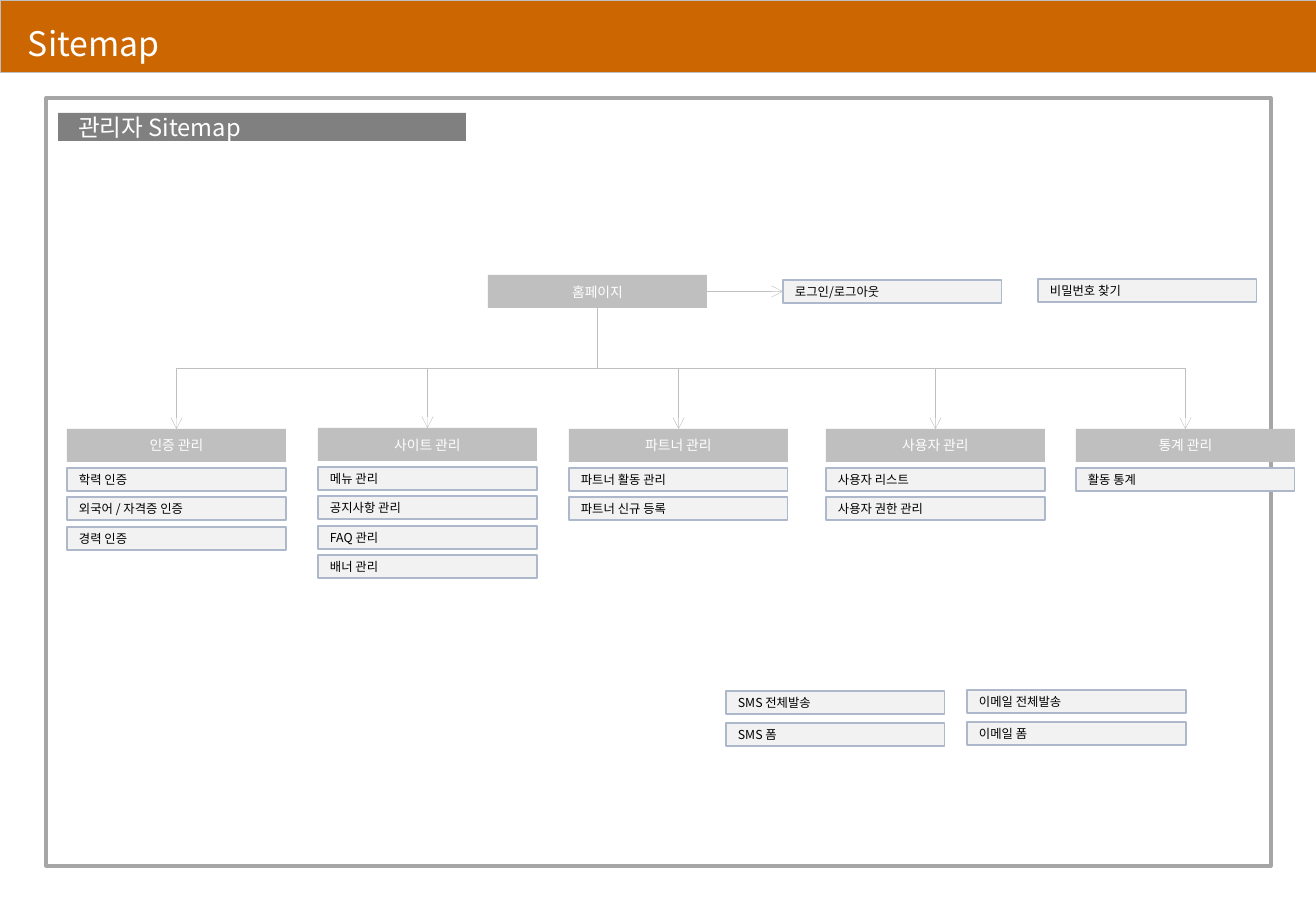
from dataclasses import dataclass

import pptx
import pptx.dml.color
import pptx.enum.shapes
import pptx.enum.text
import pptx.oxml
import pptx.oxml.ns
import pptx.shapes.autoshape
import pptx.shapes.connector
import pptx.slide
import pptx.util

EMU_PER_PX = 7526
ITEM_OFFSET = 39
ITEM_STEP = 29.5


@dataclass(frozen=True)
class Theme:
    font: str = "Noto Sans CJK KR"
    banner: str = "CC6600"
    section: str = "808080"
    frame: str = "A6A6A6"
    head: str = "BFBFBF"
    item: str = "F2F2F2"
    item_line: str = "ADB9CA"
    light: str = "FFFFFF"
    dark: str = "000000"
    title_size: float = 20
    section_size: float = 14
    head_size: float = 8.2
    item_size: float = 7.3
    hairline: float = 0.25
    item_border: float = 0.75
    frame_border: float = 2


@dataclass(frozen=True)
class Box:
    left: int
    top: int
    width: int
    height: int


@dataclass(frozen=True)
class Menu:
    left: int
    top: int
    name: str
    pages: tuple[str, ...]


@dataclass(frozen=True)
class Page:
    left: int
    top: int
    name: str


THEME = Theme()

MENUS = (
    Menu(67, 429, "인증 관리", ("학력 인증", "외국어 / 자격증 인증", "경력 인증")),
    Menu(318, 428, "사이트 관리", ("메뉴 관리", "공지사항 관리", "FAQ 관리", "배너 관리")),
    Menu(569, 429, "파트너 관리", ("파트너 활동 관리", "파트너 신규 등록")),
    Menu(826, 429, "사용자 관리", ("사용자 리스트", "사용자 권한 관리")),
    Menu(1076, 429, "통계 관리", ("활동 통계",)),
)

LOGIN = Page(783, 280, "로그인/로그아웃")

LOOSE_PAGES = (
    Page(1038, 279, "비밀번호 찾기"),
    Page(967, 690, "이메일 전체발송"),
    Page(967, 722, "이메일 폼"),
    Page(726, 691, "SMS 전체발송"),
    Page(726, 723, "SMS 폼"),
)


def px(length: float) -> pptx.util.Emu:
    return pptx.util.Emu(round(length * EMU_PER_PX))


def rgb(color: str) -> pptx.dml.color.RGBColor:
    return pptx.dml.color.RGBColor.from_string(color)


def add_box(slide: pptx.slide.Slide, box: Box, fill: str = "", line: str = "",
            weight: float = 0) -> pptx.shapes.autoshape.Shape:
    shape = slide.shapes.add_shape(
        pptx.enum.shapes.MSO_SHAPE.RECTANGLE,
        px(box.left), px(box.top), px(box.width), px(box.height))
    shape.shadow.inherit = False
    if fill:
        shape.fill.solid()
        shape.fill.fore_color.rgb = rgb(fill)
    else:
        shape.fill.background()
    if line:
        shape.line.color.rgb = rgb(line)
        shape.line.width = pptx.util.Pt(weight)
    else:
        shape.line.fill.background()
    return shape


def write(shape: pptx.shapes.autoshape.Shape, text: str, size: float, color: str,
          centred: bool = False, wrap: bool = True) -> None:
    frame = shape.text_frame
    frame.word_wrap = wrap
    frame.vertical_anchor = pptx.enum.text.MSO_ANCHOR.MIDDLE
    paragraph = frame.paragraphs[0]
    align = pptx.enum.text.PP_ALIGN
    paragraph.alignment = align.CENTER if centred else align.LEFT
    run = paragraph.add_run()
    run.text = text
    run.font.name = THEME.font
    run.font.size = pptx.util.Pt(size)
    run.font.color.rgb = rgb(color)
    east_asian = pptx.oxml.parse_xml(
        f'<a:ea {pptx.oxml.ns.nsdecls("a")} typeface="{THEME.font}"/>')
    run.font._element.append(east_asian)


def set_insets(shape: pptx.shapes.autoshape.Shape, left: int = 0) -> None:
    frame = shape.text_frame
    frame.margin_left = px(left)
    frame.margin_top = frame.margin_right = frame.margin_bottom = 0


def add_head(slide: pptx.slide.Slide, left: int, top: int,
             name: str) -> pptx.shapes.autoshape.Shape:
    head = add_box(slide, Box(left, top, 219, 33), THEME.head)
    write(head, name, THEME.head_size, THEME.light, centred=True)
    return head


def add_page(slide: pptx.slide.Slide, page: Page) -> pptx.shapes.autoshape.Shape:
    item = add_box(slide, Box(page.left, page.top, 219, 23),
                   THEME.item, THEME.item_line, THEME.item_border)
    write(item, page.name, THEME.item_size, THEME.dark, wrap=False)
    return item


def add_arrow(slide: pptx.slide.Slide, kind: pptx.enum.shapes.MSO_CONNECTOR,
              source: pptx.shapes.autoshape.Shape, source_side: int,
              target: pptx.shapes.autoshape.Shape,
              target_side: int) -> pptx.shapes.connector.Connector:
    arrow = slide.shapes.add_connector(kind, 0, 0, 0, 0)
    arrow.begin_connect(source, source_side)
    arrow.end_connect(target, target_side)
    arrow.line.color.rgb = rgb(THEME.head)
    arrow.line.width = pptx.util.Pt(THEME.hairline)
    namespace = pptx.oxml.ns.nsdecls("a")
    arrow.line._get_or_add_ln().append(
        pptx.oxml.parse_xml(f'<a:tailEnd {namespace} type="arrow"/>'))
    arrow._element.spPr.append(pptx.oxml.parse_xml(f"<a:effectLst {namespace}/>"))
    return arrow


def add_branch(slide: pptx.slide.Slide, home: pptx.shapes.autoshape.Shape,
               head: pptx.shapes.autoshape.Shape) -> None:
    branch = add_arrow(slide, pptx.enum.shapes.MSO_CONNECTOR.ELBOW, home, 2, head, 0)
    start_x, start_y = branch.begin_x, branch.begin_y
    end_x, end_y = branch.end_x, branch.end_y
    drop, reach = end_y - start_y, abs(end_x - start_x)
    branch.left = (start_x + end_x - drop) // 2
    branch.top = (start_y + end_y - reach) // 2
    branch.width, branch.height = drop, reach
    rightward = end_x > start_x
    transform = branch._element.spPr.xfrm
    transform.set("rot", "16200000" if rightward else "5400000")
    transform.set("flipH", "1" if rightward else "0")
    transform.set("flipV", "0")


def main() -> None:
    deck = pptx.Presentation()
    deck.slide_width, deck.slide_height = px(1316), px(911)
    slide = deck.slides.add_slide(deck.slide_layouts[6])

    add_box(slide, Box(0, 0, 1316, 72), THEME.banner, THEME.head, THEME.hairline)
    title = slide.shapes.add_textbox(px(28), px(28), px(1260), px(36))
    set_insets(title)
    write(title, "Sitemap", THEME.title_size, THEME.light)
    title.text_frame.paragraphs[0].line_spacing = 0.9

    add_box(slide, Box(46, 98, 1225, 768), line=THEME.frame, weight=THEME.frame_border)
    section = add_box(slide, Box(58, 113, 408, 28), THEME.section)
    set_insets(section, left=20)
    write(section, "관리자 Sitemap", THEME.section_size, THEME.light)

    home = add_head(slide, 488, 275, "홈페이지")
    login = add_page(slide, LOGIN)
    add_arrow(slide, pptx.enum.shapes.MSO_CONNECTOR.STRAIGHT, home, 3, login, 1)

    for menu in MENUS:
        head = add_head(slide, menu.left, menu.top, menu.name)
        add_branch(slide, home, head)
        for row, name in enumerate(menu.pages):
            top = menu.top + ITEM_OFFSET + int(row * ITEM_STEP)
            add_page(slide, Page(menu.left, top, name))

    for page in LOOSE_PAGES:
        add_page(slide, page)

    deck.save("out.pptx")


if __name__ == "__main__":
    main()
